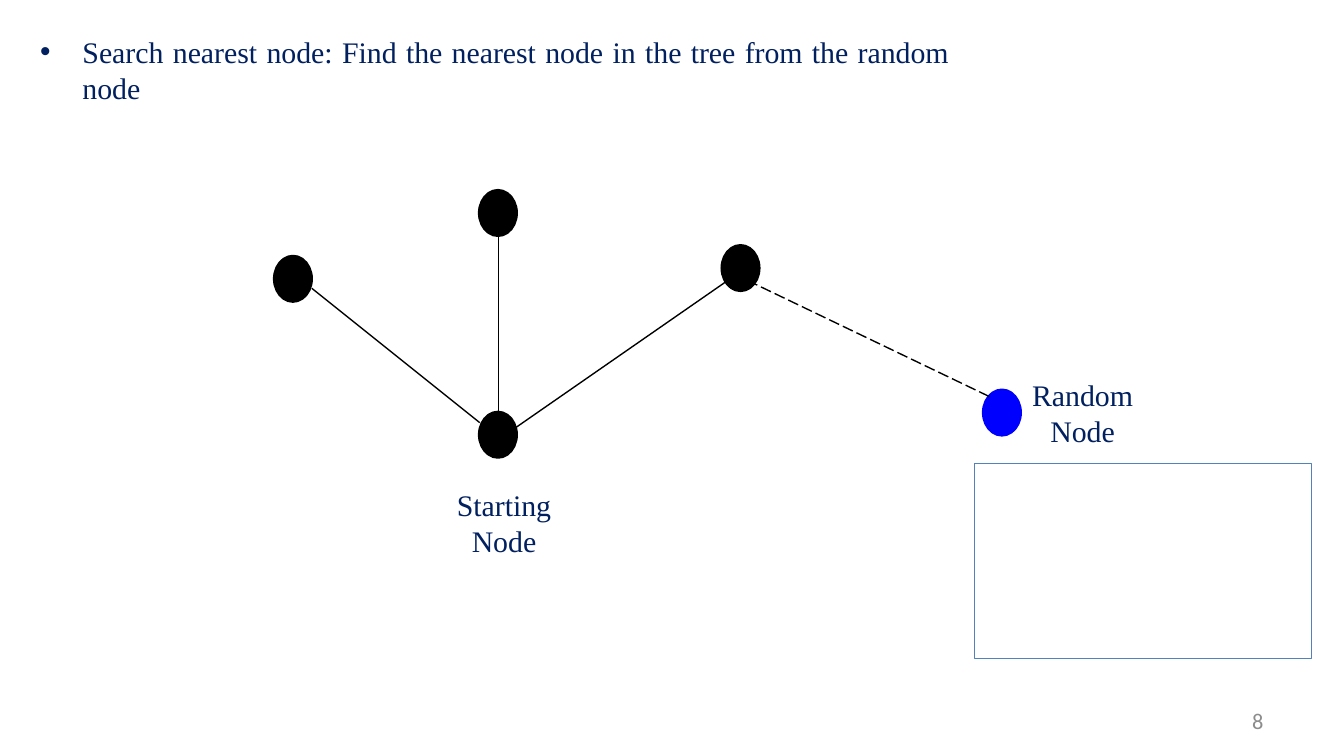
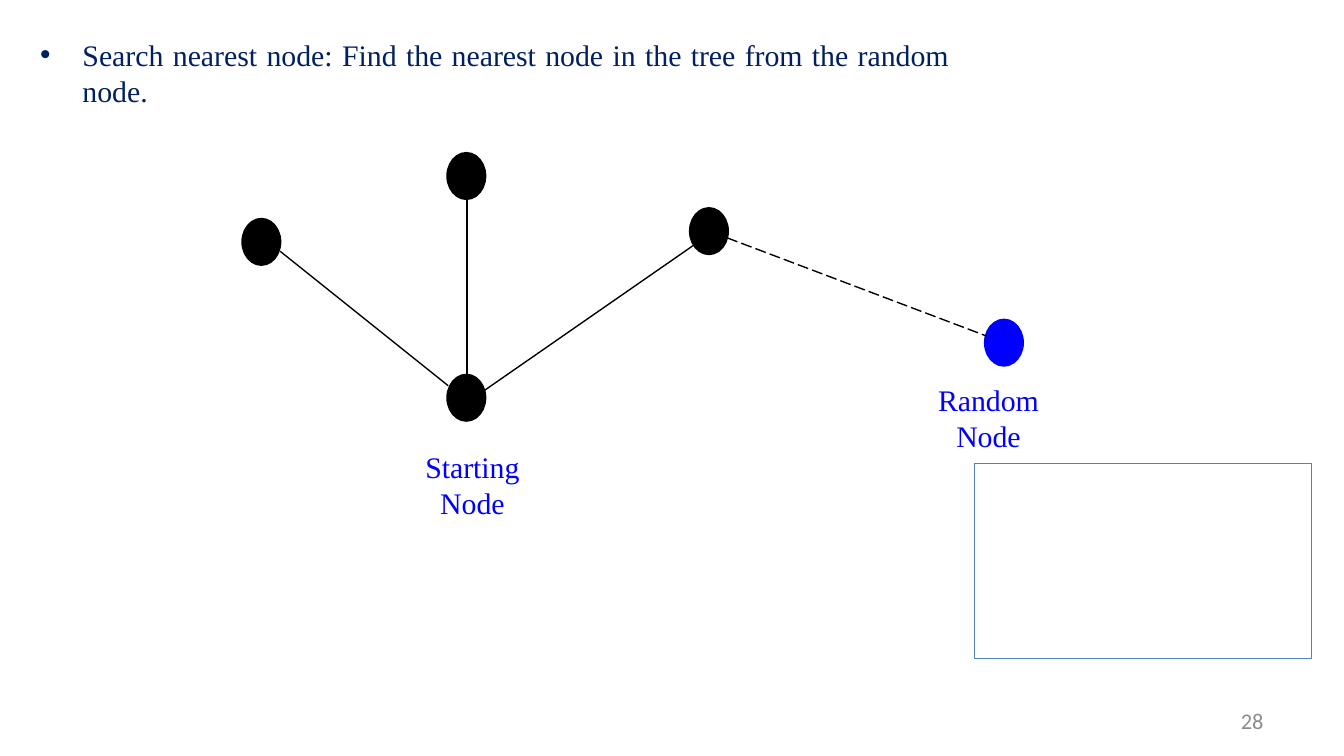
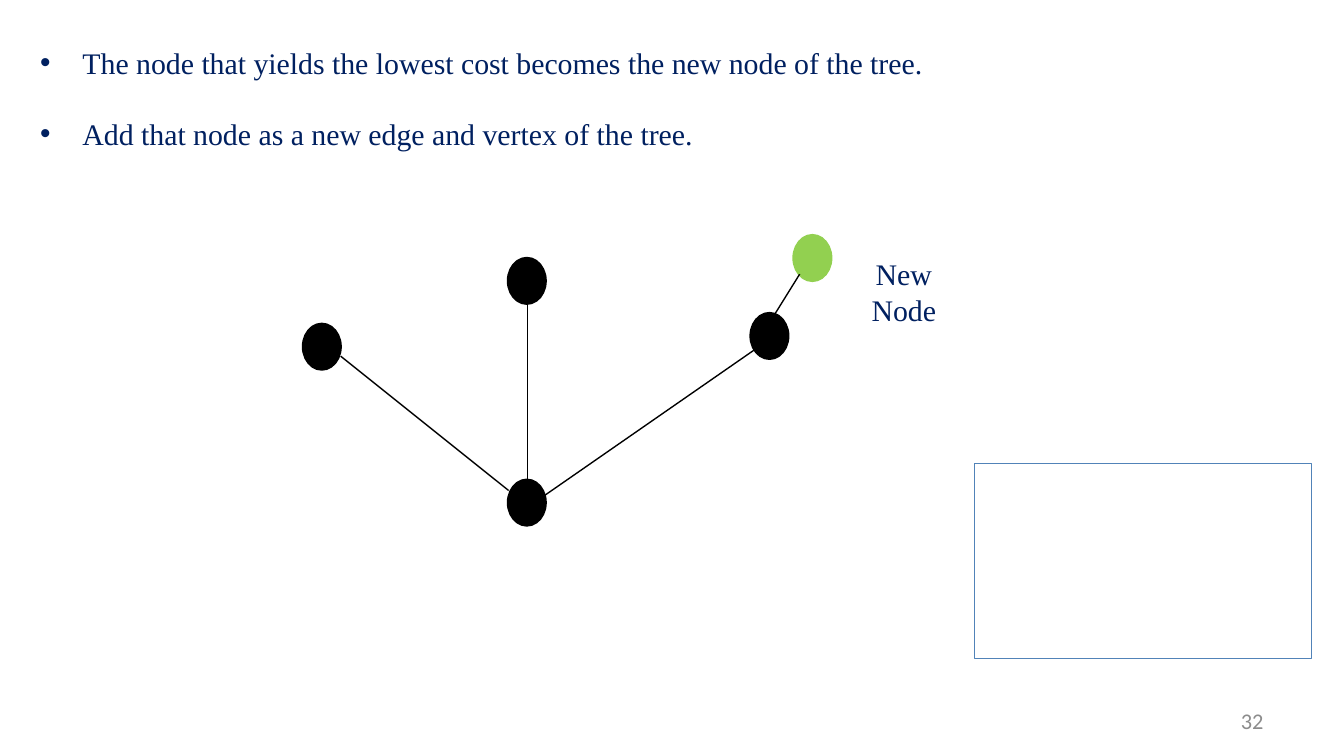
from dataclasses import dataclass

from lxml import etree
from pptx import Presentation
from pptx.dml.color import RGBColor
from pptx.enum.dml import MSO_LINE
from pptx.enum.shapes import MSO_CONNECTOR, MSO_SHAPE
from pptx.enum.text import MSO_ANCHOR, MSO_AUTO_SIZE, PP_ALIGN
from pptx.oxml.ns import qn
from pptx.util import Pt

PX = 4572  # 200 px to the inch
CENTER, RIGHT, JUSTIFY = PP_ALIGN.CENTER, PP_ALIGN.RIGHT, PP_ALIGN.JUSTIFY
TOP, MIDDLE = MSO_ANCHOR.TOP, MSO_ANCHOR.MIDDLE
FIT_SHAPE, NO_FIT = MSO_AUTO_SIZE.SHAPE_TO_FIT_TEXT, MSO_AUTO_SIZE.NONE
RECTANGLE, CIRCLE = MSO_SHAPE.RECTANGLE, MSO_SHAPE.FLOWCHART_CONNECTOR
STRAIGHT, LONG_DASH = MSO_CONNECTOR.STRAIGHT, MSO_LINE.LONG_DASH


@dataclass(frozen=True)
class Theme:
    navy: str = "002060"
    black: str = "000000"
    blue: str = "0000FF"
    green: str = "92D050"
    frame: str = "5183B8"
    gray: str = "8C8C8C"
    body_font: str = "Times New Roman"
    number_font: str = "Calibri"
    body_size: int = 16
    number_size: int = 12
    bullet_gap: float = 19.2
    bullet_indent: int = 63
    frame_width: float = 0.25
    edge_width: float = 0.75
    node_width: float = 2


THEME = Theme()
PAGE_WIDTH, PAGE_HEIGHT = 2000, 1125
NODE_WIDTH, NODE_HEIGHT = 54, 66

# Tree geometry, measured from the top left of the starting node
TREE_NODES = [(0, 0), (361, -248), (0, -330), (-305, -232)]
TREE_EDGES = [
    ((28, 0), (28, -266)),
    ((54, 22), (371, -198)),
    ((0, 15), (-250, -185)),
]


def color(code):
    return RGBColor.from_string(code)


class TreeDeck:
    def __init__(self, theme):
        self.theme = theme
        self.deck = Presentation()
        self.deck.slide_width, self.deck.slide_height = PAGE_WIDTH * PX, PAGE_HEIGHT * PX
        self.page = None

    def add_page(self, number):
        """Start a page with the shared frame and page number."""
        theme = self.theme
        self.page = self.deck.slides.add_slide(self.deck.slide_layouts[6])
        self.shape(RECTANGLE, 1450, 690, 502, 290, line=theme.frame, line_width=theme.frame_width)
        self.text(str(number), 1434, 1043, 466, 60, align=RIGHT, anchor=MIDDLE, fit=NO_FIT,
                  font=theme.number_font, size=theme.number_size, ink=theme.gray)

    def shape(self, kind, left, top, width, height, *, line, line_width, fill=None):
        box = self.page.shapes.add_shape(kind, left * PX, top * PX, width * PX, height * PX)
        box.shadow.inherit = False
        if fill:
            box.fill.solid()
            box.fill.fore_color.rgb = color(fill)
        else:
            box.fill.background()
        box.line.color.rgb = color(line)
        box.line.width = Pt(line_width)

    def node(self, left, top, tint):
        self.shape(CIRCLE, left, top, NODE_WIDTH, NODE_HEIGHT,
                   fill=tint, line=tint, line_width=self.theme.node_width)

    def edge(self, start, end, dash=None):
        points = [value * PX for value in (*start, *end)]
        link = self.page.shapes.add_connector(STRAIGHT, *points)
        link.line.color.rgb = color(self.theme.black)
        link.line.width = Pt(self.theme.edge_width)
        if dash:
            link.line.dash_style = dash
        etree.SubElement(link._element.spPr, qn("a:effectLst"))

    def text(self, text, left, top, width, height, *, align=CENTER, anchor=TOP, fit=FIT_SHAPE,
             font=None, size=None, ink=None, bullet=False):
        """Place text in a box, one paragraph for each line of the string."""
        theme = self.theme
        box = self.page.shapes.add_textbox(left * PX, top * PX, width * PX, height * PX)
        frame = box.text_frame
        frame.word_wrap = True
        frame.auto_size = fit
        frame.vertical_anchor = anchor
        for index, words in enumerate(text.split("\n")):
            para = frame.add_paragraph() if index else frame.paragraphs[0]
            para.alignment = align
            if index:
                para.space_before = Pt(theme.bullet_gap)
            if bullet:
                self.add_bullet(para)
            span = para.add_run()
            span.text = words
            span.font.name = font or theme.body_font
            span.font.size = Pt(size or theme.body_size)
            span.font.color.rgb = color(ink or theme.navy)

    def add_bullet(self, para):
        indent = self.theme.bullet_indent * PX
        properties = para._p.get_or_add_pPr()
        properties.set("marL", str(indent))
        properties.set("indent", str(-indent))
        etree.SubElement(properties, qn("a:buFont"), typeface="Arial")
        etree.SubElement(properties, qn("a:buChar"), char="•")

    def bullets(self, text, top, height):
        self.text(text, 40, top, 1393, height, align=JUSTIFY, bullet=True)

    def label(self, text, left, top, width=184, ink=None):
        self.text(text, left, top, width, 128, ink=ink)

    def tree(self, left, top):
        """Draw the starting node with its three branches."""
        for start, end in TREE_EDGES:
            self.edge((left + start[0], top + start[1]), (left + end[0], top + end[1]))
        for across, down in TREE_NODES:
            self.node(left + across, top + down, self.theme.black)


def main():
    slides = TreeDeck(THEME)

    # Nearest node, random node beside its label
    slides.add_page(8)
    slides.bullets("Search nearest node: Find the nearest node in the tree from the random node", 40, 128)
    slides.tree(714, 614)
    slides.node(1464, 581, THEME.blue)
    slides.label("Random Node", 1509, 551, width=204)
    slides.edge((1472, 590), (1122, 422), dash=LONG_DASH)
    slides.label("Starting Node", 658, 715)

    # Nearest node, blue labels below the nodes
    slides.add_page(28)
    slides.bullets("Search nearest node: Find the nearest node in the tree from the random node.", 45, 128)
    slides.tree(667, 559)
    slides.label("Starting Node", 611, 658, ink=THEME.blue)
    slides.node(1467, 477, THEME.blue)
    slides.edge((1082, 354), (1468, 500), dash=LONG_DASH)
    slides.label("Random Node", 1369, 558, width=204, ink=THEME.blue)

    # New node joins the tree
    slides.add_page(32)
    slides.bullets("The node that yields the lowest cost becomes the new node of the tree.\n"
                   "Add that node as a new edge and vertex of the tree.", 56, 182)
    slides.tree(757, 715)
    slides.node(1182, 351, THEME.green)
    slides.edge((1154, 466), (1190, 408))
    slides.label("New Node", 1253, 371)

    slides.deck.save("out.pptx")


if __name__ == "__main__":
    main()
